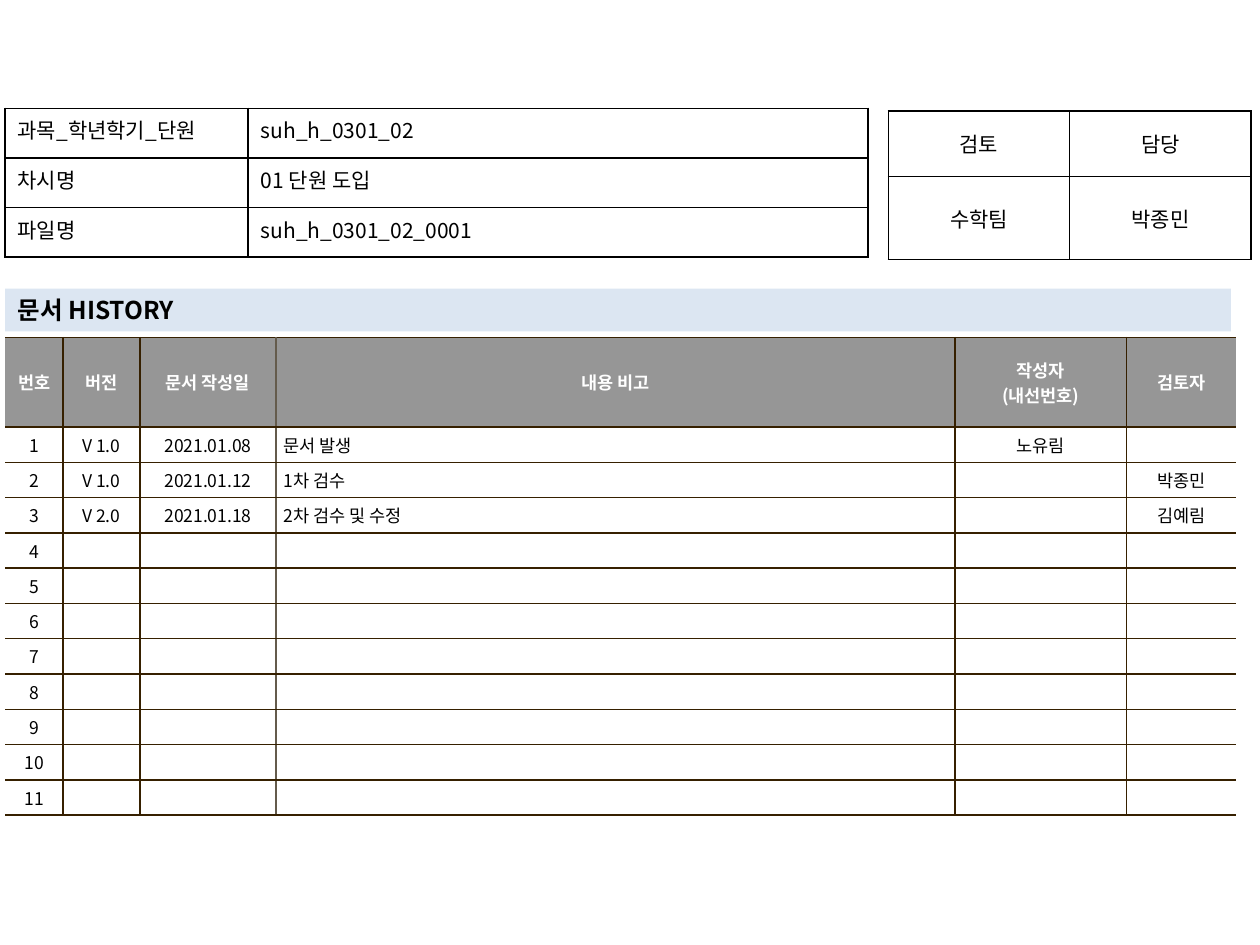
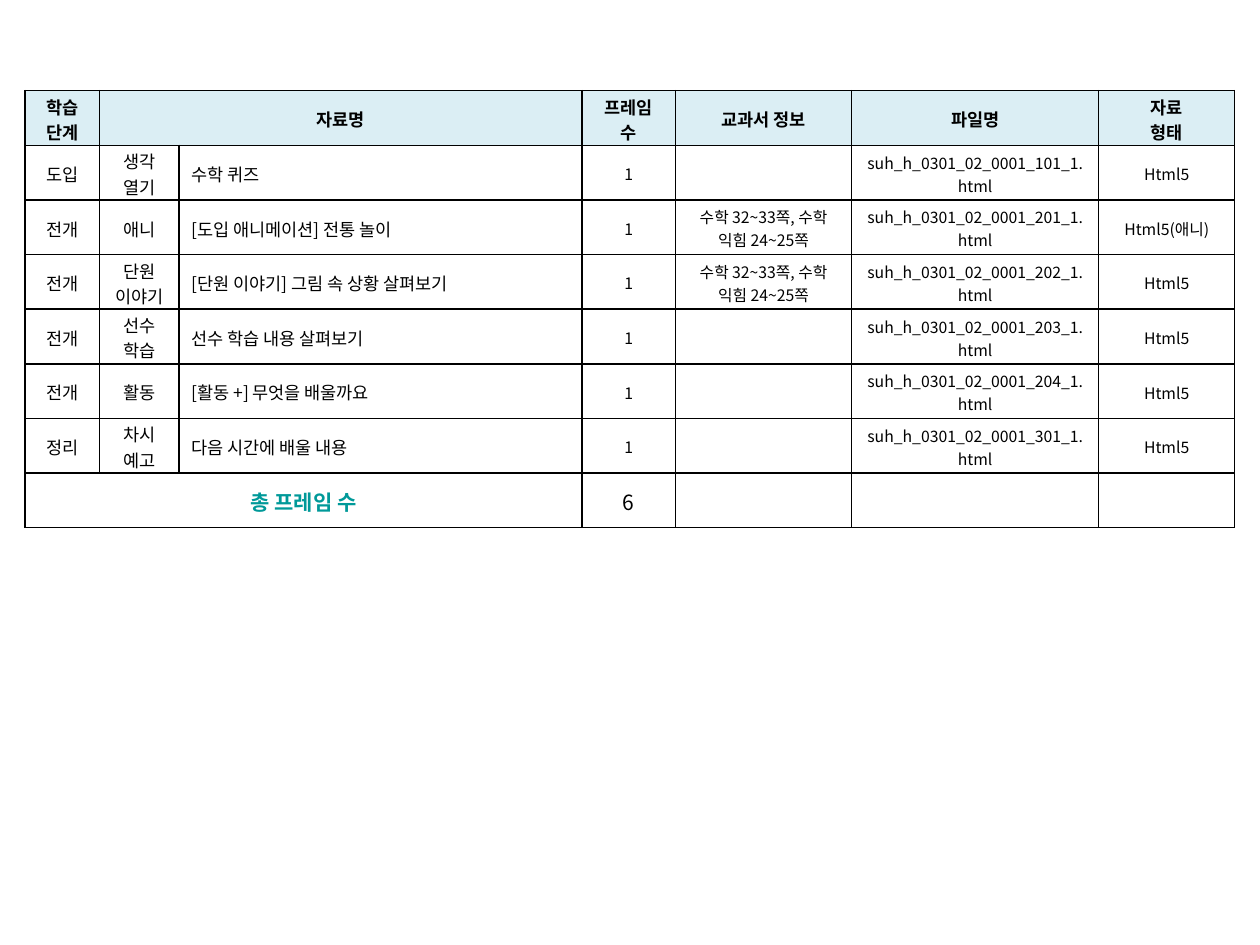
from dataclasses import dataclass

from lxml import etree
from pptx import Presentation
from pptx.dml.color import RGBColor
from pptx.enum.text import MSO_ANCHOR, MSO_AUTO_SIZE, PP_ALIGN
from pptx.oxml.ns import qn
from pptx.util import Inches, Pt

LEFT, CENTER, JUSTIFY = PP_ALIGN.LEFT, PP_ALIGN.CENTER, PP_ALIGN.JUSTIFY
TOP, MIDDLE = MSO_ANCHOR.TOP, MSO_ANCHOR.MIDDLE
NO_AUTOFIT = MSO_AUTO_SIZE.NONE
TITLE_ONLY, BLANK = 5, 6


@dataclass(frozen=True)
class Theme:
    font: str = "Noto Sans CJK KR"
    ink: str = "000000"
    paper: str = "FFFFFF"
    band: str = "DCE6F2"
    history_head: str = "969696"
    history_rule: str = "362000"
    history_soft_rule: str = "645B4C"
    frame_head: str = "DBEEF4"
    total: str = "009999"
    title: int = 14
    label: int = 12
    body: int = 10
    small: int = 9
    rule: int = 1


T = Theme()

FILE_INFO = [
    ("과목_학년학기_단원 ", "suh_h_0301_02"),
    ("차시명", "01 단원 도입"),
    ("파일명", "suh_h_0301_02_0001"),
]
REVIEW = [("검토", "담당"), ("수학팀", "박종민")]
HISTORY_HEAD = ("번호", "버전", "문서 작성일", "내용 비고", "작성자\n(내선번호)", "검토자")
HISTORY = [
    ("V 1.0", "2021.01.08", "문서 발생", "노유림", ""),
    ("V 1.0", "2021.01.12", "1차 검수", "", "박종민"),
    ("V 2.0", "2021.01.18", "2차 검수 및 수정", "", "김예림"),
]
HISTORY_ROWS = 11
FRAME_HEAD = ("학습 단계", "자료명", "", "프레임 수", "교과서 정보", "파일명", "자료\n형태")
PAGES = "수학 32~33쪽, 수학 익힘 24~25쪽"
FRAMES = [
    ("도입", "생각\n열기", "수학 퀴즈", "", 101, "Html5"),
    ("전개", "애니", "[도입 애니메이션] 전통 놀이", PAGES, 201, "Html5(애니)"),
    ("전개", "단원\n이야기", "[단원 이야기] 그림 속 상황 살펴보기", PAGES, 202, "Html5"),
    ("전개", "선수\n학습", "선수 학습 내용 살펴보기", "", 203, "Html5"),
    ("전개", "활동", "[활동 +] 무엇을 배울까요", "", 204, "Html5"),
    ("정리", "차시 예고", "다음 시간에 배울 내용", "", 301, "Html5"),
]


def write(tf, text, size=T.body, color=T.ink, bold=False, align=CENTER):
    tf.word_wrap = True
    for i, line in enumerate(text.split("\n")):
        p = tf.add_paragraph() if i else tf.paragraphs[0]
        p.alignment = align
        if not line:
            etree.SubElement(p._p, qn("a:endParaRPr"), sz=str(size * 100))
            continue
        r = p.add_run()
        r.text = line
        r.font.name = T.font
        r.font.size = Pt(size)
        r.font.bold = bold
        r.font.color.rgb = RGBColor.from_string(color)
        etree.SubElement(r._r.get_or_add_rPr(), qn("a:ea"), typeface=T.font)


def set_borders(cell, **colors):
    tcPr = cell._tc.get_or_add_tcPr()
    for side in "LRTB":
        color = colors.get(side)
        ln = etree.SubElement(tcPr, qn(f"a:ln{side}"), w=str(Pt(T.rule) if color else 0))
        if color:
            fill = etree.SubElement(ln, qn("a:solidFill"))
            etree.SubElement(fill, qn("a:srgbClr"), val=color)
        else:
            etree.SubElement(ln, qn("a:noFill"))


def split(total, weights):
    return [total * w / sum(weights) for w in weights]


def add_grid(s, box, cols, rows):
    x, y, w, h = box
    shape = s.shapes.add_table(len(rows), len(cols), *map(Inches, box))
    table = shape.table
    table.first_row = table.horz_banding = False
    for col, width in zip(table.columns, split(w, cols)):
        col.width = Inches(width)
    for row, height in zip(table.rows, split(h, rows)):
        row.height = Inches(height)
    return table


def fill_cell(cell, text, borders, fill=None, anchor=MIDDLE, margins=(0.1, 0.05, 0.05), **fmt):
    side, top, bottom = map(Inches, margins)
    cell.margin_left = cell.margin_right = side
    cell.margin_top, cell.margin_bottom = top, bottom
    cell.vertical_anchor = anchor
    set_borders(cell, **borders)
    if fill:
        cell.fill.solid()
        cell.fill.fore_color.rgb = RGBColor.from_string(fill)
    else:
        cell.fill.background()
    write(cell.text_frame, text, **fmt)


def boxed(color=T.ink):
    return dict.fromkeys("LRTB", color)


def add_label_table(s, box, data, cols, rows, aligns, anchor):
    table = add_grid(s, box, cols, rows)
    for i, record in enumerate(data):
        for j, text in enumerate(record):
            fill_cell(table.cell(i, j), text, boxed(), anchor=anchor,
                      size=T.label, align=aligns[j])


def add_title_band(s, box, text):
    sp = s.shapes.title
    sp.left, sp.top, sp.width, sp.height = map(Inches, box)
    sp.fill.solid()
    sp.fill.fore_color.rgb = RGBColor.from_string(T.band)
    tf = sp.text_frame
    tf.auto_size = NO_AUTOFIT
    tf.vertical_anchor = MIDDLE
    write(tf, text, size=T.title, bold=True, align=LEFT)


def history_borders(j, last):
    borders = boxed(T.history_rule)
    if j == 0:
        borders["L"] = None
    if j == last:
        borders["R"] = None
    if j == 2:
        borders["R"] = T.history_soft_rule
    if j == 3:
        borders["L"] = T.history_soft_rule
    return borders


def add_history(s, box):
    cols = [0.46, 0.61, 1.08, 5.39, 1.36, 0.87]
    table = add_grid(s, box, cols, [0.71] + [0.28] * HISTORY_ROWS)
    blank = ("",) * (len(cols) - 1)
    entries = HISTORY + [blank] * (HISTORY_ROWS - len(HISTORY))
    records = [HISTORY_HEAD] + [(str(n), *e) for n, e in enumerate(entries, 1)]
    for i, record in enumerate(records):
        head = i == 0
        for j, text in enumerate(record):
            fill_cell(table.cell(i, j), text, history_borders(j, len(cols) - 1),
                      fill=T.history_head if head else T.paper,
                      margins=(0.06, 0.04, 0.04),
                      color=T.paper if head else T.ink, bold=head,
                      align=LEFT if j == 3 and not head else CENTER)


def add_frame_list(s, box):
    cols = [0.59, 0.63, 3.2, 0.74, 1.4, 1.96, 1.08]
    records = [FRAME_HEAD]
    for stage, part, name, pages, number, kind in FRAMES:
        file_name = f"suh_h_0301_02_0001_{number}_1.html"
        records.append((stage, part, name, "1", pages, file_name, kind))
    records.append(("총 프레임 수", "", "", str(len(FRAMES)), "", "", ""))
    last = len(records) - 1
    table = add_grid(s, box, cols, [1] * len(records))
    for i, record in enumerate(records):
        for j, text in enumerate(record):
            fmt = dict(size=T.small if j > 2 else T.body)
            if i == 0:
                fmt = dict(fill=T.frame_head, bold=True)
            elif i == last:
                fmt = dict(size=T.label)
                if j == 0:
                    fmt.update(color=T.total, bold=True)
            elif j == 2:
                fmt["align"] = LEFT
            fill_cell(table.cell(i, j), text, boxed(), margins=(0.1, 0.02, 0), **fmt)
    table.cell(0, 1).merge(table.cell(0, 2))
    table.cell(last, 0).merge(table.cell(last, 2))


def history_slide(prs):
    s = prs.slides.add_slide(prs.slide_layouts[TITLE_ONLY])
    add_history(s, (0.04, 2.68, 9.77, 3.79))
    add_label_table(s, (7.05, 0.88, 2.88, 1.18), REVIEW, [1, 1], [0.52, 0.66],
                    (CENTER, CENTER), MIDDLE)
    add_title_band(s, (0.04, 2.29, 9.73, 0.34), "문서 HISTORY")
    add_label_table(s, (0.04, 0.86, 6.85, 1.18), FILE_INFO, [1.93, 4.92], [1, 1, 1],
                    (JUSTIFY, LEFT), TOP)


def frame_slide(prs):
    s = prs.slides.add_slide(prs.slide_layouts[BLANK])
    add_frame_list(s, (0.2, 0.72, 9.6, 3.47))


def main():
    prs = Presentation()
    prs.slide_width, prs.slide_height = Inches(10), Inches(7.5)
    history_slide(prs)
    frame_slide(prs)
    prs.save("out.pptx")


if __name__ == "__main__":
    main()
